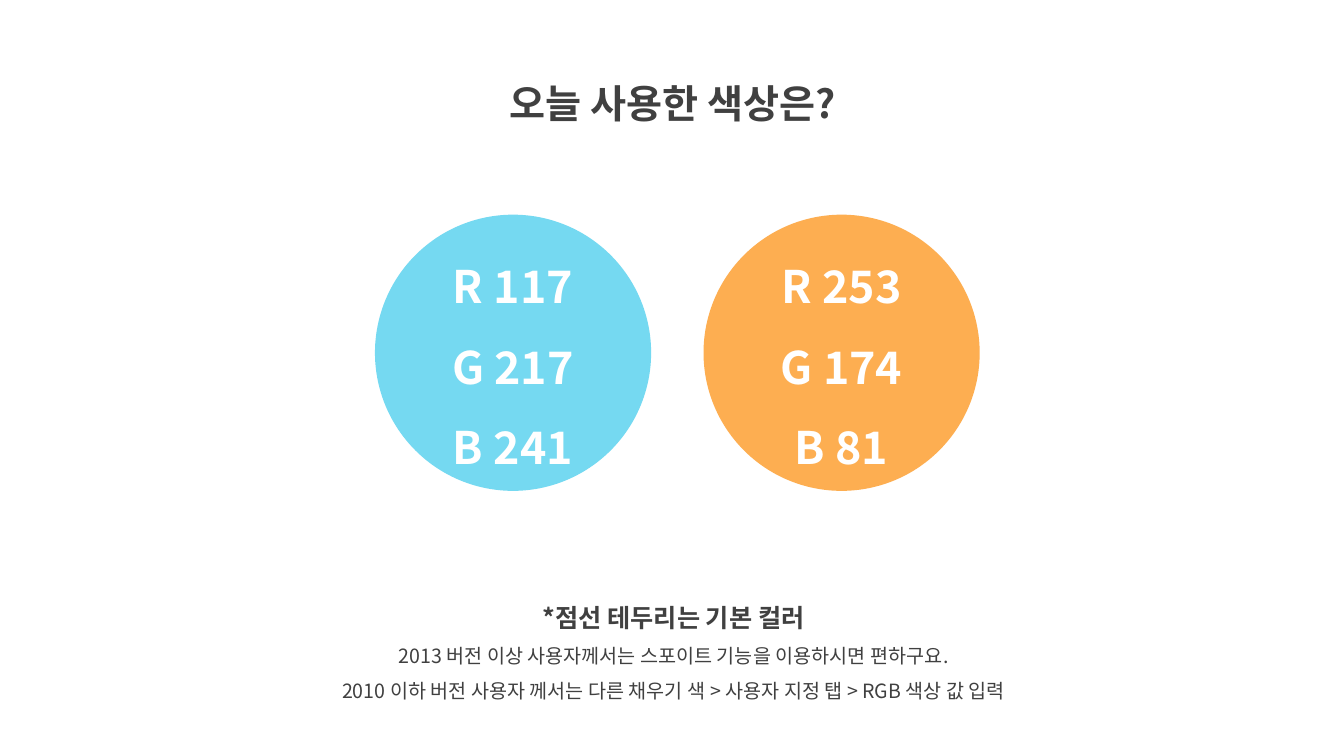
from lxml import etree
from pptx import Presentation
from pptx.dml.color import RGBColor
from pptx.enum.shapes import MSO_SHAPE
from pptx.enum.text import MSO_ANCHOR, MSO_AUTO_SIZE, PP_ALIGN
from pptx.oxml.ns import qn
from pptx.util import Cm, Pt

ELLIPSE = MSO_SHAPE.OVAL
TOP, MIDDLE = MSO_ANCHOR.TOP, MSO_ANCHOR.MIDDLE
CENTER = PP_ALIGN.CENTER
GROW, NO_FIT = MSO_AUTO_SIZE.SHAPE_TO_FIT_TEXT, MSO_AUTO_SIZE.NONE
TITLE_ONLY = 5


def color(value):
    return RGBColor.from_string(value)


class Deck:
    """Holds the text style and the current slide."""

    font = "Noto Sans CJK KR"
    dark, white = "404040", "FFFFFF"
    spacing = 1.5

    def __init__(self, prs):
        self.slide = prs.slides.add_slide(prs.slide_layouts[TITLE_ONLY])

    def set_lines(self, sp, lines, fill, anchor, fit):
        """Fill a shape with centred lines, each given as (text, size, bold)."""
        tf = sp.text_frame
        tf.word_wrap = True
        tf.auto_size = fit
        tf.vertical_anchor = anchor
        for i, (text, size, bold) in enumerate(lines):
            p = tf.add_paragraph() if i else tf.paragraphs[0]
            p.text = text
            p.alignment = CENTER
            p.line_spacing = self.spacing
            p.font.size = Pt(size)
            p.font.bold = bold
            p.font.name = self.font
            p.font.color.rgb = color(fill)
            props = p._p.pPr.find(qn("a:defRPr"))
            etree.SubElement(props, qn("a:ea"), typeface=self.font)

    def title(self, text, left, top, width, height):
        sp = self.slide.shapes.title
        sp.left, sp.top, sp.width, sp.height = map(Cm, (left, top, width, height))
        self.set_lines(sp, [(text, 28, True)], self.dark, TOP, GROW)

    def text(self, lines, left, top, width, height):
        sp = self.slide.shapes.add_textbox(*map(Cm, (left, top, width, height)))
        self.set_lines(sp, lines, self.dark, TOP, GROW)

    def swatch(self, rgb, left, top, size):
        """Draw a circle in a colour, labelled with its RGB values."""
        sp = self.slide.shapes.add_shape(ELLIPSE, *map(Cm, (left, top, size, size)))
        sp.shadow.inherit = False
        sp.fill.solid()
        sp.fill.fore_color.rgb = color("%02X%02X%02X" % rgb)
        sp.line.fill.background()
        lines = [(f"{channel} {value}", 32, True) for channel, value in zip("RGB", rgb)]
        self.set_lines(sp, lines, self.white, MIDDLE, NO_FIT)


def main():
    prs = Presentation()
    prs.slide_width, prs.slide_height = Cm(33.87), Cm(19.05)
    deck = Deck(prs)
    deck.title("오늘 사용한 색상은?", 11.07, 1.27, 11.76, 1.83)
    deck.text([
        ("*점선 테두리는 기본 컬러", 18, True),
        ("2013 버전 이상 사용자께서는 스포이트 기능을 이용하시면 편하구요.", 14, False),
        ("2010 이하 버전 사용자 께서는 다른 채우기 색 > 사용자 지정 탭 > RGB 색상 값 입력", 14, False),
    ], 6.83, 14.66, 20.29, 3.2)
    for i, rgb in enumerate([(117, 217, 241), (253, 174, 81)]):
        deck.swatch(rgb, 9.45 + 8.28 * i, 5.41, 6.96)
    prs.save("out.pptx")


if __name__ == "__main__":
    main()
